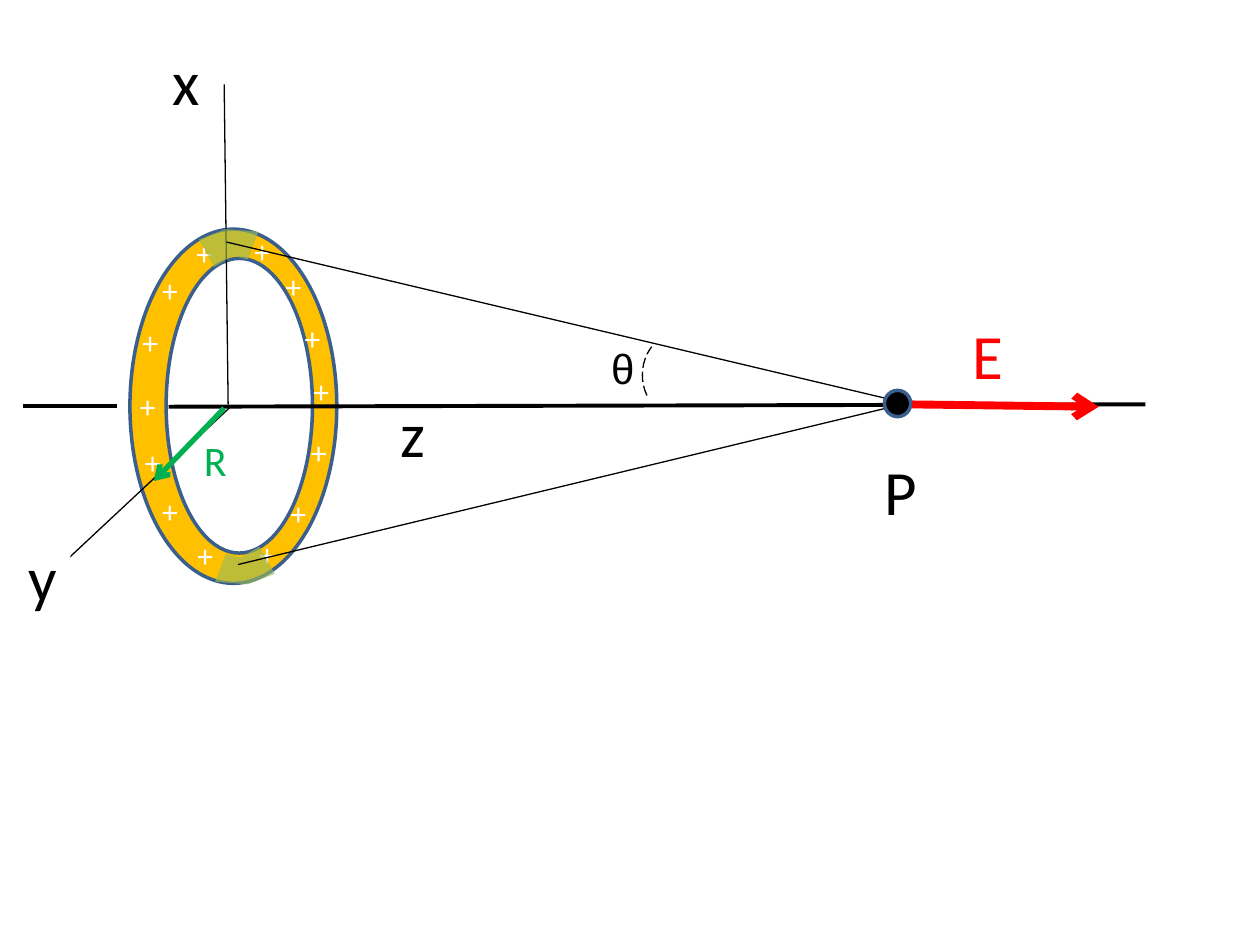
from dataclasses import dataclass
from typing import Optional

from lxml.etree import SubElement
from pptx import Presentation
from pptx.dml.color import RGBColor
from pptx.enum.dml import MSO_LINE
from pptx.enum.shapes import MSO_CONNECTOR, MSO_SHAPE
from pptx.enum.text import MSO_AUTO_SIZE
from pptx.oxml.ns import qn
from pptx.util import Cm, Pt

BLACK = RGBColor(0x00, 0x00, 0x00)
WHITE = RGBColor(0xFF, 0xFF, 0xFF)
GOLD = RGBColor(0xFF, 0xC0, 0x00)
OUTLINE = RGBColor(0x3A, 0x5F, 0x8C)
OLIVE = RGBColor(0x9B, 0xBB, 0x59)
GREEN = RGBColor(0x00, 0xB0, 0x50)
RED = RGBColor(0xFF, 0x00, 0x00)


@dataclass
class Label:
    text: str
    left: float
    top: float
    width: float
    height: float = 1.8
    size: float = 36
    color: RGBColor = BLACK
    font: str = "Calibri"
    fill: Optional[RGBColor] = None
    wrap: bool = False


@dataclass
class Segment:
    start: tuple[float, float]
    end: tuple[float, float]
    width: float = 0.75
    color: RGBColor = BLACK
    arrow: bool = False


def draw_label(slide, label: Label) -> None:
    box = slide.shapes.add_textbox(
        Cm(label.left), Cm(label.top), Cm(label.width), Cm(label.height))
    if label.fill is not None:
        box.fill.solid()
        box.fill.fore_color.rgb = label.fill
    frame = box.text_frame
    frame.word_wrap = label.wrap
    frame.auto_size = MSO_AUTO_SIZE.SHAPE_TO_FIT_TEXT
    paragraph = frame.paragraphs[0]
    paragraph.text = label.text
    paragraph.font.name = label.font
    paragraph.font.size = Pt(label.size)
    paragraph.font.color.rgb = label.color


def draw_segment(slide, segment: Segment) -> None:
    line = slide.shapes.add_connector(
        MSO_CONNECTOR.STRAIGHT,
        *(Cm(value) for value in segment.start + segment.end))
    line.line.color.rgb = segment.color
    line.line.width = Pt(segment.width)
    if segment.arrow:
        SubElement(line.line._get_or_add_ln(), qn("a:tailEnd"), type="arrow")
    SubElement(line._element.spPr, qn("a:effectLst"))


def draw_ellipse(slide, left: float, top: float, width: float,
                 height: float, fill: RGBColor) -> None:
    ellipse = slide.shapes.add_shape(
        MSO_SHAPE.OVAL, Cm(left), Cm(top), Cm(width), Cm(height))
    ellipse.shadow.inherit = False
    ellipse.fill.solid()
    ellipse.fill.fore_color.rgb = fill
    ellipse.line.color.rgb = OUTLINE
    ellipse.line.width = Pt(2)


def draw_charge_element(slide, points: list[tuple[float, float]]) -> None:
    corners = [(Cm(x), Cm(y)) for x, y in points]
    builder = slide.shapes.build_freeform(*corners[0])
    builder.add_line_segments(corners[1:], close=True)
    element = builder.convert_to_shape()
    element.shadow.inherit = False
    element.fill.solid()
    element.fill.fore_color.rgb = OLIVE
    color = element._element.spPr.find(f"{qn('a:solidFill')}/{qn('a:srgbClr')}")
    SubElement(color, qn("a:alpha"), val="63000")
    element.line.fill.background()


def draw_angle_arc(slide) -> None:
    arc = slide.shapes.add_shape(
        MSO_SHAPE.ARC, Cm(12.95), Cm(6.71), Cm(1.47), Cm(1.7))
    arc.adjustments[0] = 196.27
    arc.adjustments[1] = 27.75
    arc._element.spPr.xfrm.set("flipH", "1")
    arc._element.spPr.xfrm.set("flipV", "1")
    arc.shadow.inherit = False
    arc.fill.background()
    arc.line.color.rgb = BLACK
    arc.line.width = Pt(0.75)
    arc.line.dash_style = MSO_LINE.LONG_DASH


CHARGES = [
    (4.88, 4.55), (3.02, 5.33), (5.89, 6.3), (5.51, 5.26), (3.71, 4.6),
    (2.62, 6.38), (2.57, 7.67), (5.61, 9.83), (6.07, 7.37), (2.67, 8.81),
    (3.02, 9.8), (3.73, 10.69), (4.98, 10.67), (6.02, 8.61),
]
AXES = [
    Segment((3.4, 8.2), (23.09, 8.15), 2.25),
    Segment((0.46, 8.18), (2.36, 8.18), 2.25),
    Segment((4.6, 8.15), (4.52, 1.7)),
    Segment((4.65, 8.2), (1.14, 11.48)),
]
TOP_ELEMENT = [(4.01, 4.83), (4.55, 4.62), (5.21, 4.67),
               (5.0, 5.23), (4.7, 5.16), (4.32, 5.38)]
# The bottom element is the top one turned half a circle
BOTTOM_ELEMENT = [(9.55 - x, 16.4 - y) for x, y in TOP_ELEMENT]
SIGHT_LINES = [
    Segment((18.49, 8.18), (4.57, 4.88)),
    Segment((18.19, 8.15), (4.8, 11.38)),
]
AXIS_LABELS = [
    Label("z", 7.82, 7.82, 1.02),
    Label("θ", 12.07, 6.78, 1.47, 1.27, 24, font="Arial", wrap=True),
    Label("y", 0.33, 10.74, 1.09, fill=WHITE),
    Label("x", 3.23, 0.74, 1.07, fill=WHITE),
]
RADIUS = Segment((4.52, 8.23), (3.1, 9.7), 3, GREEN, arrow=True)
RADIUS_LABEL = Label("R", 3.86, 8.64, 0.97, 1.27, 24, GREEN)
FIELD = Segment((18.19, 8.15), (22.15, 8.2), 4.5, RED, arrow=True)
FIELD_LABEL = Label("E", 19.35, 6.25, 1.14, color=RED)
POINT_LABEL = Label("P", 17.58, 8.99, 1.17)


def main() -> None:
    presentation = Presentation()
    presentation.slide_width = Cm(25.4)
    presentation.slide_height = Cm(19.05)
    slide = presentation.slides.add_slide(presentation.slide_layouts[6])

    # Charged ring
    draw_ellipse(slide, 2.62, 4.62, 4.17, 7.14, GOLD)
    draw_ellipse(slide, 3.35, 5.21, 2.95, 5.94, WHITE)
    for left, top in CHARGES:
        draw_label(slide, Label("+", left, top, 0.84, 1.02, 18, WHITE))

    # Axes, opposite charge elements and their lines to P
    for axis in AXES:
        draw_segment(slide, axis)
    for element in (TOP_ELEMENT, BOTTOM_ELEMENT):
        draw_charge_element(slide, element)
    for sight_line in SIGHT_LINES:
        draw_segment(slide, sight_line)
    draw_angle_arc(slide)
    for label in AXIS_LABELS:
        draw_label(slide, label)

    # Radius, field vector and point P
    draw_segment(slide, RADIUS)
    draw_label(slide, RADIUS_LABEL)
    draw_segment(slide, FIELD)
    draw_label(slide, FIELD_LABEL)
    draw_ellipse(slide, 17.83, 7.87, 0.53, 0.53, BLACK)
    draw_label(slide, POINT_LABEL)

    presentation.save("out.pptx")


if __name__ == "__main__":
    main()
